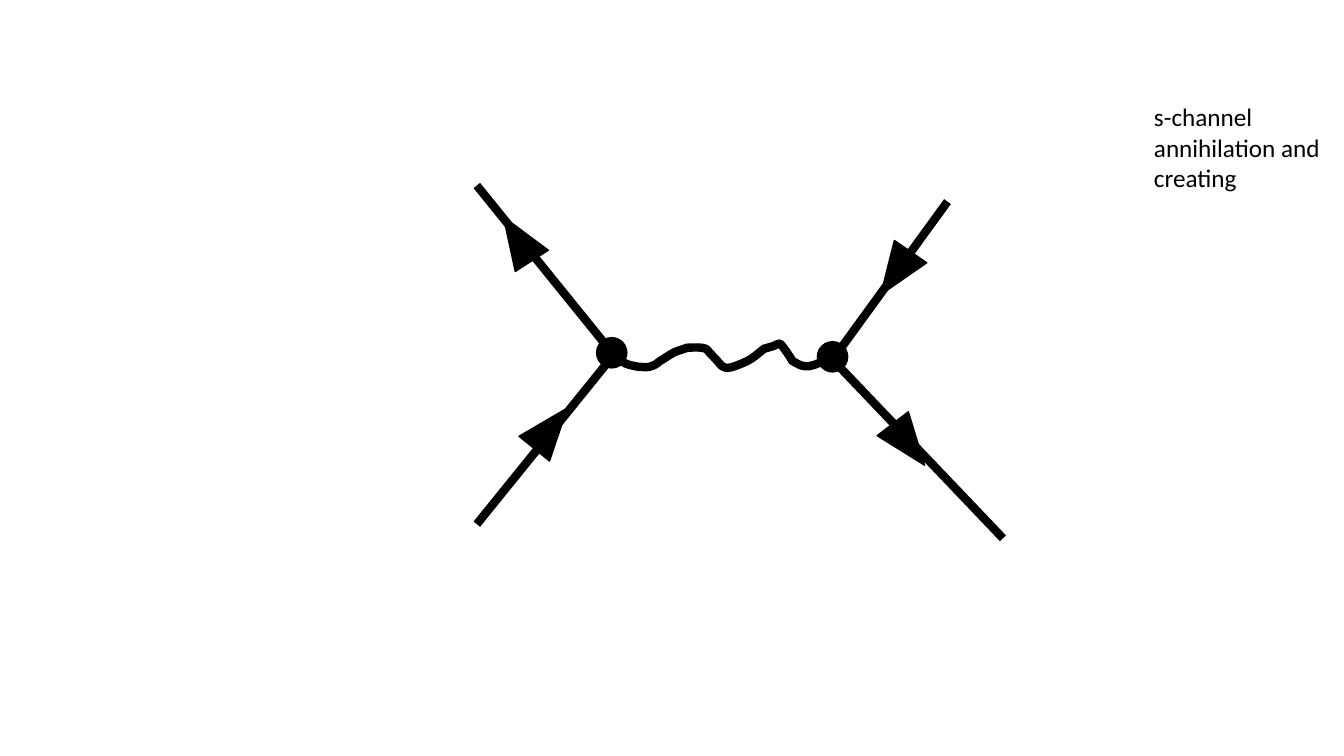
from dataclasses import dataclass

from lxml import etree
from pptx import Presentation
from pptx.dml.color import RGBColor
from pptx.enum.shapes import MSO_CONNECTOR, MSO_SHAPE
from pptx.enum.text import MSO_AUTO_SIZE
from pptx.oxml.ns import qn
from pptx.slide import Slide
from pptx.util import Pt

STRAIGHT = MSO_CONNECTOR.STRAIGHT
OVAL = MSO_SHAPE.OVAL
TRIANGLE = MSO_SHAPE.ISOSCELES_TRIANGLE
FIT_SHAPE = MSO_AUTO_SIZE.SHAPE_TO_FIT_TEXT

COLOURS = {"ink": "000000"}
INK = RGBColor.from_string(COLOURS["ink"])
FONT_NAME = "Calibri"
PARTICLE_WIDTH = 6
OUTLINE_WIDTH = 1
CURVE_STEPS = 6
VERTEX_SIZE = 21.6
ARROW_WIDTH, ARROW_HEIGHT = 28.1, 37.4

Point = tuple[float, float]


@dataclass(frozen=True)
class Fermion:
    start: Point
    end: Point


@dataclass(frozen=True)
class Marker:
    kind: MSO_SHAPE
    left: float
    top: float
    width: float
    height: float
    rotation: float = 0


@dataclass(frozen=True)
class Curve:
    first_control: Point
    second_control: Point
    end: Point


FERMIONS = [
    Fermion((340.6, 374.4), (441.4, 249.8)),
    Fermion((340.6, 132.5), (434.9, 249.1)),
    Fermion((596.2, 254.9), (676.8, 144)),
    Fermion((598.3, 260.6), (716.4, 384.5)),
]

VERTICES = [
    Marker(OVAL, left, top, VERTEX_SIZE, VERTEX_SIZE)
    for left, top in [(426.2, 241.2), (583.9, 244.1)]
]

ARROWS = [
    Marker(TRIANGLE, left, top, ARROW_WIDTH, ARROW_HEIGHT, rotation)
    for left, top, rotation in [
        (355.7, 151.9, 327.2),
        (625.7, 176.4, 214.7),
        (379.4, 287.3, 39.1),
        (635, 298.8, 142.5),
    ]
]

PHOTON_START = (440.6, 247.7)
PHOTON_CURVES = [
    Curve((442, 250.6), (442, 254.2), (443.5, 257)),
    Curve((445.7, 260.6), (452.9, 261.4), (456.5, 262.1)),
    Curve((459.4, 262.1), (463, 262.8), (465.8, 261.4)),
    Curve((468.7, 260.6), (470.2, 258.5), (473, 257)),
    Curve((483.1, 250.6), (480.2, 252), (491, 248.4)),
    Curve((493.9, 248.4), (500.4, 247.7), (504, 249.1)),
    Curve((505.4, 249.8), (506.2, 251.3), (507.6, 252.7)),
    Curve((510.5, 255.6), (515.5, 261.4), (515.5, 261.4)),
    Curve((517, 262.1), (518.4, 262.8), (519.1, 262.8)),
    Curve((521.3, 262.8), (523.4, 262.1), (525.6, 261.4)),
    Curve((537.1, 257), (537.8, 255.6), (545.8, 249.1)),
    Curve((548.6, 248.4), (550.8, 247.7), (553, 247)),
    Curve((554.4, 246.2), (555.8, 245.5), (557.3, 245.5)),
    Curve((559.4, 247.7), (564.5, 254.9), (565.9, 257.8)),
    Curve((567.4, 258.5), (571.7, 261.4), (573.8, 261.4)),
    Curve((576.7, 262.1), (578.9, 261.4), (581.8, 260.6)),
    Curve((583.9, 259.9), (588.2, 257.8), (590.4, 257)),
]


def curve_points(start: Point, curve: Curve) -> list[Point]:
    points = []
    for step in range(1, CURVE_STEPS + 1):
        t = step / CURVE_STEPS
        weights = ((1 - t) ** 3, 3 * t * (1 - t) ** 2, 3 * t**2 * (1 - t), t**3)
        anchors = (start, curve.first_control, curve.second_control, curve.end)
        x, y = (
            sum(weight * anchor[axis] for weight, anchor in zip(weights, anchors))
            for axis in (0, 1)
        )
        points.append((x, y))
    return points


def draw_photon(slide: Slide) -> None:
    points = []
    start = PHOTON_START
    for curve in PHOTON_CURVES:
        points += curve_points(start, curve)
        start = curve.end
    builder = slide.shapes.build_freeform(*map(Pt, PHOTON_START), scale=1.0)
    builder.add_line_segments([(Pt(x), Pt(y)) for x, y in points], close=False)
    photon = builder.convert_to_shape()
    photon.shadow.inherit = False
    photon.fill.background()
    photon.line.color.rgb = INK
    photon.line.width = Pt(PARTICLE_WIDTH)


def draw_fermion(slide: Slide, fermion: Fermion) -> None:
    connector = slide.shapes.add_connector(
        STRAIGHT, *map(Pt, fermion.start), *map(Pt, fermion.end)
    )
    connector.line.color.rgb = INK
    connector.line.width = Pt(PARTICLE_WIDTH)
    etree.SubElement(connector._element.spPr, qn("a:effectLst"))


def draw_marker(slide: Slide, marker: Marker) -> None:
    shape = slide.shapes.add_shape(
        marker.kind,
        Pt(marker.left),
        Pt(marker.top),
        Pt(marker.width),
        Pt(marker.height),
    )
    shape.rotation = marker.rotation
    shape.shadow.inherit = False
    shape.fill.solid()
    shape.fill.fore_color.rgb = INK
    shape.line.color.rgb = INK
    shape.line.width = Pt(OUTLINE_WIDTH)


def draw_caption(slide: Slide) -> None:
    caption = slide.shapes.add_textbox(Pt(817.2), Pt(69.1), Pt(139), Pt(94.3))
    text_frame = caption.text_frame
    text_frame.word_wrap = False
    text_frame.auto_size = FIT_SHAPE
    text_frame.text = "s-channel\nannihilation and\ncreating"
    for paragraph in text_frame.paragraphs:
        for run in paragraph.runs:
            run.font.name = FONT_NAME
            run.font.size = Pt(18)
            run.font.color.rgb = INK


def main() -> None:
    presentation = Presentation()
    presentation.slide_width = Pt(960)
    presentation.slide_height = Pt(540)
    slide = presentation.slides.add_slide(presentation.slide_layouts[6])
    draw_photon(slide)
    for fermion in FERMIONS:
        draw_fermion(slide, fermion)
    for marker in VERTICES + ARROWS:
        draw_marker(slide, marker)
    draw_caption(slide)
    presentation.save("out.pptx")


if __name__ == "__main__":
    main()
